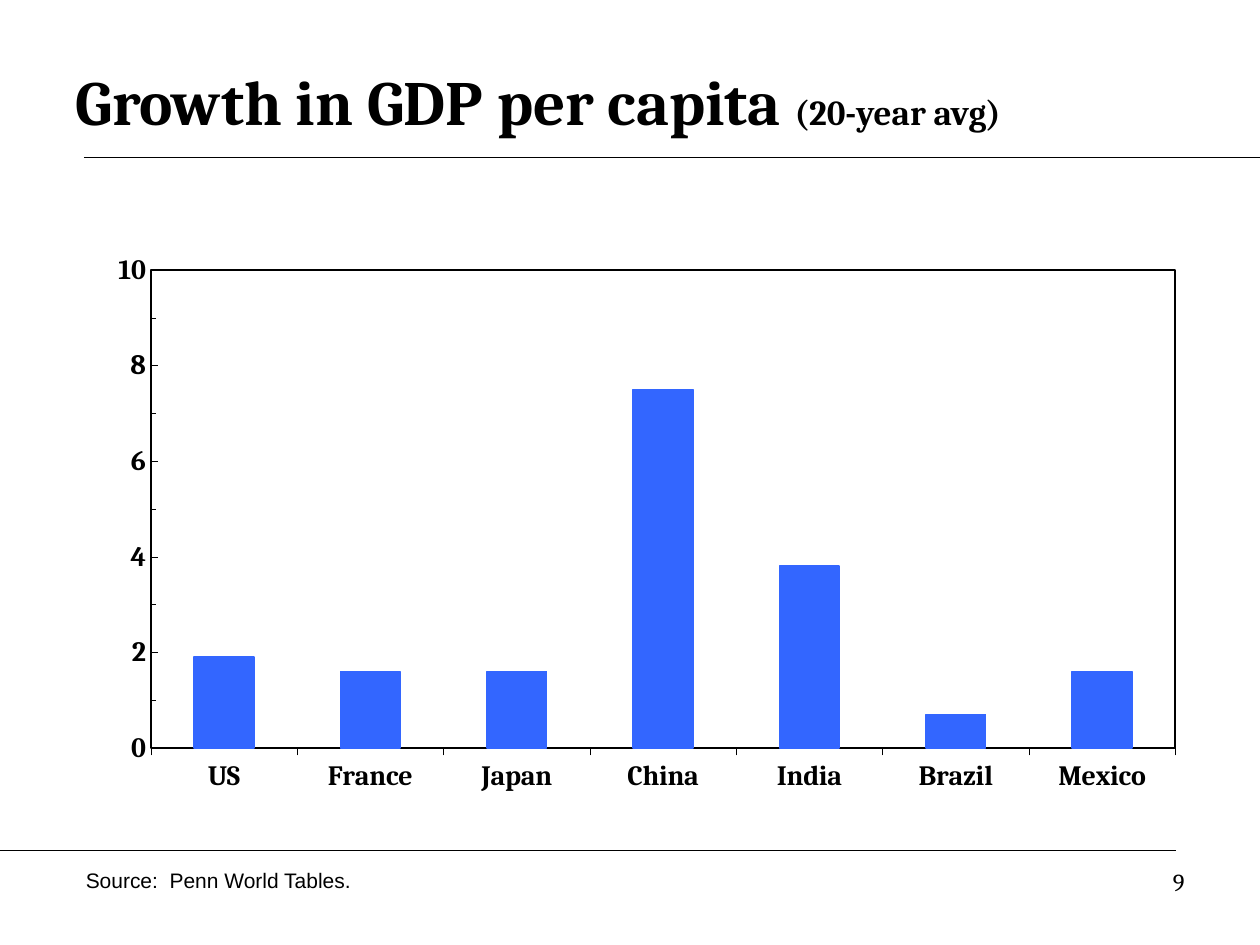
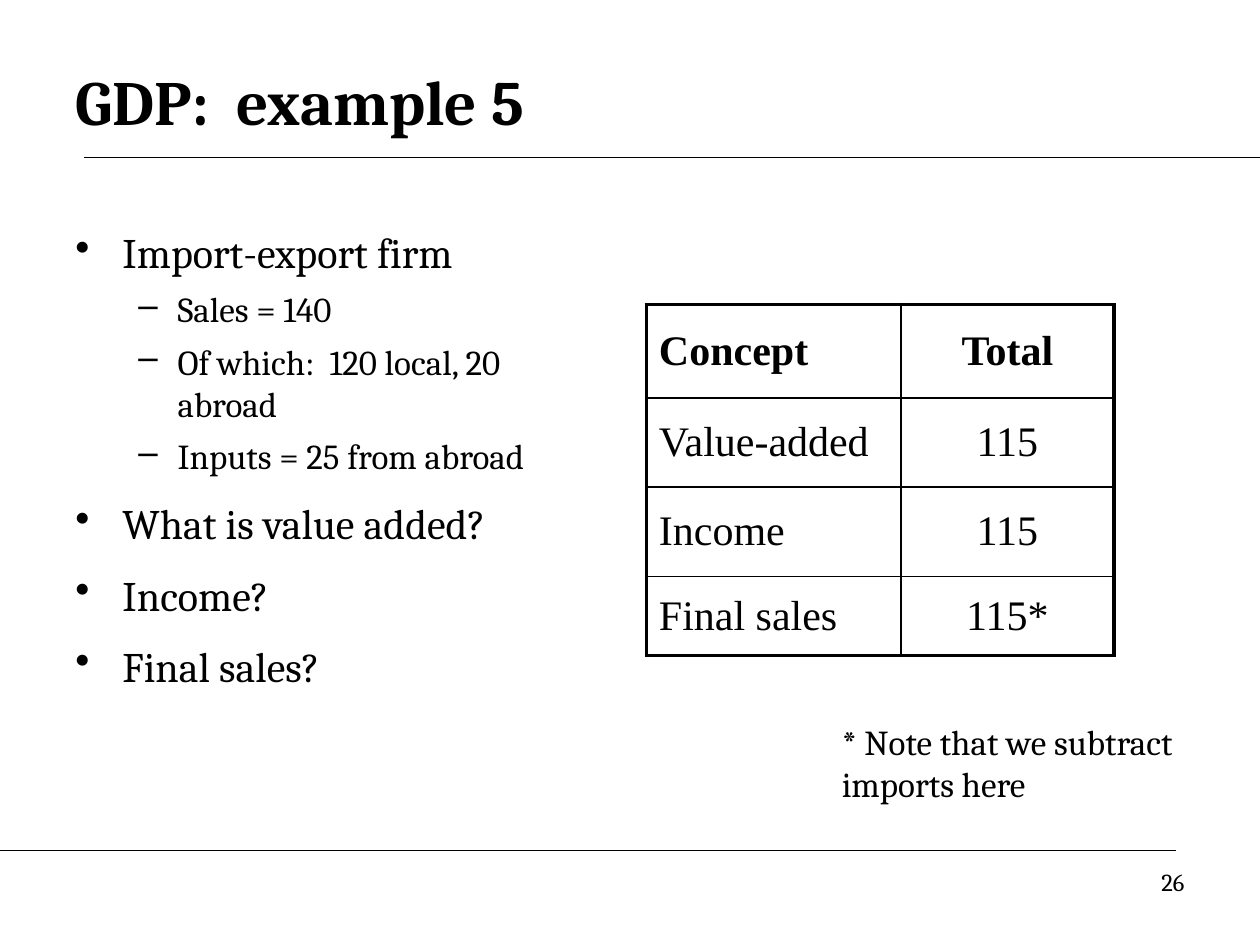
from collections import namedtuple

from lxml.etree import SubElement
from pptx import Presentation
from pptx.chart.data import CategoryChartData
from pptx.dml.color import RGBColor
from pptx.enum.chart import XL_CHART_TYPE, XL_TICK_MARK
from pptx.enum.shapes import MSO_CONNECTOR
from pptx.enum.text import MSO_ANCHOR, PP_ALIGN
from pptx.oxml import parse_xml
from pptx.oxml.ns import nsdecls, qn
from pptx.util import Cm, Pt

Box = namedtuple("Box", "left top width height")

INK, PAPER, BAR = "000000", "FFFFFF", "3366FF"
SERIF, SANS, TABLE_FACE = "Cambria", "Arial", "Times New Roman"
SLIDE_WIDTH, SLIDE_HEIGHT = 25.4, 19.05
RULE_INSET = 1.69
TITLE_RULE_Y, FOOTER_RULE_Y = 3.18, 17.15
TITLE = Box(1.27, 0.85, 22.86, 2.33)
PAGE_NUMBER = Box(18.2, 17.36, 5.93, 1.31)
SOURCE = Box(1.48, 17.36, 12.28, 0.76)
GROWTH = Box(1.42, 4.6, 22.5, 12.27)
QUESTIONS = Box(1.27, 4.45, 10.37, 12.57)
TOTALS = Box(13.03, 6.14, 9.43, 7.08)
NOTE = Box(16.72, 14.4, 7.2, 1.96)

GROWTH_RATES = {"US": 1.9, "France": 1.6, "Japan": 1.6, "China": 7.5,
                "India": 3.8, "Brazil": 0.7, "Mexico": 1.6}
OUTLINE = [
    (0, "Import-export firm"),
    (1, "Sales = 140"),
    (1, "Of which:  120 local, 20 abroad"),
    (1, "Inputs = 25 from abroad"),
    (0, "What is value added?"),
    (0, "Income?"),
    (0, "Final sales?"),
]
Level = namedtuple("Level", "mark margin hang size gap")
LEVELS = [Level("•", 0.95, 0.95, 24, 12), Level("–", 2.06, 0.79, 20, 6)]
CONCEPTS = [("Concept", "Total"), ("Value-added", "115"),
            ("Income", "115"), ("Final sales", "115*")]
COLUMN_SHARES = (0.544, 0.456)
ROW_SHARES = (0.266, 0.254, 0.254, 0.226)


def color(code):
    """Turn a hex string into a colour."""
    return RGBColor.from_string(code)


def place(box):
    """Give a box as four lengths."""
    return [Cm(value) for value in box]


def style(font, size=None, face=SERIF, bold=False):
    """Set face, weight and ink of a font."""
    font.name, font.bold = face, bold
    font.color.rgb = color(INK)
    if size:
        font.size = Pt(size)


def stroke(line, code, width):
    """Draw a line in one colour and width."""
    line.color.rgb = color(code)
    line.width = Pt(width)


def add_frame(slide, box):
    """Add an empty wrapping text frame."""
    frame = slide.shapes.add_textbox(*place(box)).text_frame
    frame.word_wrap = True
    return frame


def add_label(slide, box, text, size, face=SERIF, align=PP_ALIGN.LEFT):
    """Add one paragraph of text."""
    paragraph = add_frame(slide, box).paragraphs[0]
    paragraph.text = text
    paragraph.alignment = align
    style(paragraph.font, size, face)


def add_rule(slide, start, end, y):
    """Add a thin horizontal rule."""
    rule = slide.shapes.add_connector(
        MSO_CONNECTOR.STRAIGHT, Cm(start), Cm(y), Cm(end), Cm(y))
    stroke(rule.line, INK, 0.75)
    SubElement(rule.line._get_or_add_ln().getparent(), qn("a:effectLst"))


def add_page(deck, title_parts, number):
    """Add a slide with its title, rules and page number."""
    slide = deck.slides.add_slide(deck.slide_layouts[6])
    slide.background.fill.solid()
    slide.background.fill.fore_color.rgb = color(PAPER)
    add_rule(slide, RULE_INSET, SLIDE_WIDTH, TITLE_RULE_Y)
    add_rule(slide, 0, SLIDE_WIDTH - RULE_INSET, FOOTER_RULE_Y)
    frame = add_frame(slide, TITLE)
    frame.vertical_anchor = MSO_ANCHOR.MIDDLE
    heading = frame.paragraphs[0]
    style(heading.font, bold=True)
    for text, size in title_parts:
        part = heading.add_run()
        part.text = text
        part.font.size = Pt(size)
    add_label(slide, PAGE_NUMBER, str(number), 14, align=PP_ALIGN.RIGHT)
    return slide


def frame_plot(chart):
    """Fix the inner plot position and outline the plot."""
    plot_area = chart._chartSpace.chart.plotArea
    for layout in plot_area.findall(qn("c:layout")):
        plot_area.remove(layout)
    position = "".join(
        f'<c:{name} val="{value}"/>' for name, value in
        [("layoutTarget", "inner"), ("xMode", "edge"), ("yMode", "edge"),
         ("x", 0.072), ("y", 0.069), ("w", 0.918), ("h", 0.785)])
    plot_area.insert(0, parse_xml(
        f'<c:layout {nsdecls("c")}><c:manualLayout>{position}'
        '</c:manualLayout></c:layout>'))
    plot_area.append(parse_xml(
        f'<c:spPr {nsdecls("c", "a")}><a:noFill/><a:ln w="{Pt(1)}"><a:solidFill>'
        f'<a:srgbClr val="{INK}"/></a:solidFill></a:ln></c:spPr>'))


def add_growth_chart(slide, box):
    """Add the column chart of growth rates."""
    rates = CategoryChartData(number_format="0.0")
    rates.categories = list(GROWTH_RATES)
    rates.add_series("Series 1", list(GROWTH_RATES.values()))
    chart = slide.shapes.add_chart(
        XL_CHART_TYPE.COLUMN_CLUSTERED, *place(box), rates).chart
    chart.has_legend = chart.has_title = False
    style(chart.font, 16, bold=True)
    plot = chart.plots[0]
    plot.vary_by_categories = False
    plot.gap_width = 145
    columns = plot.series[0].format
    columns.fill.solid()
    columns.fill.fore_color.rgb = color(BAR)
    stroke(columns.line, BAR, 1)
    for axis in (chart.category_axis, chart.value_axis):
        axis.has_major_gridlines = False
        style(axis.tick_labels.font, 16, bold=True)
        stroke(axis.format.line, INK, 0.25)
    chart.category_axis.major_tick_mark = XL_TICK_MARK.OUTSIDE
    scale = chart.value_axis
    scale.minimum_scale, scale.maximum_scale = 0, 10
    scale.major_unit, scale.minor_unit = 2, 1
    scale.major_tick_mark = scale.minor_tick_mark = XL_TICK_MARK.INSIDE
    scale.tick_labels.number_format = "0"
    scale.tick_labels.number_format_is_linked = False
    frame_plot(chart)


def add_outline(slide, box):
    """Add the two-level bulleted outline."""
    frame = add_frame(slide, box)
    for index, (depth, text) in enumerate(OUTLINE):
        level = LEVELS[depth]
        paragraph = frame.add_paragraph() if index else frame.paragraphs[0]
        paragraph.text = text
        paragraph.level = depth
        properties = paragraph._p.get_or_add_pPr()
        properties.set("marL", str(Cm(level.margin)))
        properties.set("indent", str(-Cm(level.hang)))
        SubElement(properties, qn("a:buChar"), char=level.mark)
        if index:
            paragraph.space_before = Pt(level.gap)
        style(paragraph.font, level.size)


def set_borders(cell, widths):
    """Draw the left, right, top and bottom borders of a cell."""
    properties = cell._tc.get_or_add_tcPr()
    for index, (side, width) in enumerate(zip("LRTB", widths)):
        properties.insert(index, parse_xml(
            f'<a:ln{side} {nsdecls("a")} w="{Pt(width)}"><a:solidFill>'
            f'<a:srgbClr val="{INK}"/></a:solidFill></a:ln{side}>'))


def add_totals_table(slide, box):
    """Add the table of concepts with a heavy outer border."""
    last_row, last_column = len(CONCEPTS) - 1, len(CONCEPTS[0]) - 1
    table = slide.shapes.add_table(
        last_row + 1, last_column + 1, *place(box)).table
    table.first_row = table.horz_banding = False
    for column, share in zip(table.columns, COLUMN_SHARES):
        column.width = Cm(box.width * share)
    for row, share in zip(table.rows, ROW_SHARES):
        row.height = Cm(box.height * share)
    for r, concept in enumerate(CONCEPTS):
        for c, text in enumerate(concept):
            cell = table.cell(r, c)
            cell.text = text
            cell.vertical_anchor = MSO_ANCHOR.MIDDLE
            cell.fill.background()
            paragraph = cell.text_frame.paragraphs[0]
            paragraph.alignment = PP_ALIGN.CENTER if c else PP_ALIGN.LEFT
            style(paragraph.font, 24, TABLE_FACE, bold=r == 0)
            outer = (c == 0, c == last_column, r == 0, r == last_row)
            set_borders(cell, [2.25 if edge else 1 for edge in outer])


def build_growth_slide(deck):
    """Build the slide on growth by country."""
    slide = add_page(
        deck, [("Growth in GDP per capita ", 36), ("(20-year avg)", 20)], 9)
    add_growth_chart(slide, GROWTH)
    add_label(slide, SOURCE, "Source:  Penn World Tables.", 12, SANS)


def build_example_slide(deck):
    """Build the slide with the import-export example."""
    slide = add_page(deck, [("GDP:  example 5", 36)], 26)
    add_outline(slide, QUESTIONS)
    add_totals_table(slide, TOTALS)
    add_label(slide, NOTE, "* Note that we subtract imports here", 20)


def main():
    """Build and save the deck."""
    deck = Presentation()
    deck.slide_width, deck.slide_height = Cm(SLIDE_WIDTH), Cm(SLIDE_HEIGHT)
    build_growth_slide(deck)
    build_example_slide(deck)
    deck.save("out.pptx")


if __name__ == "__main__":
    main()
